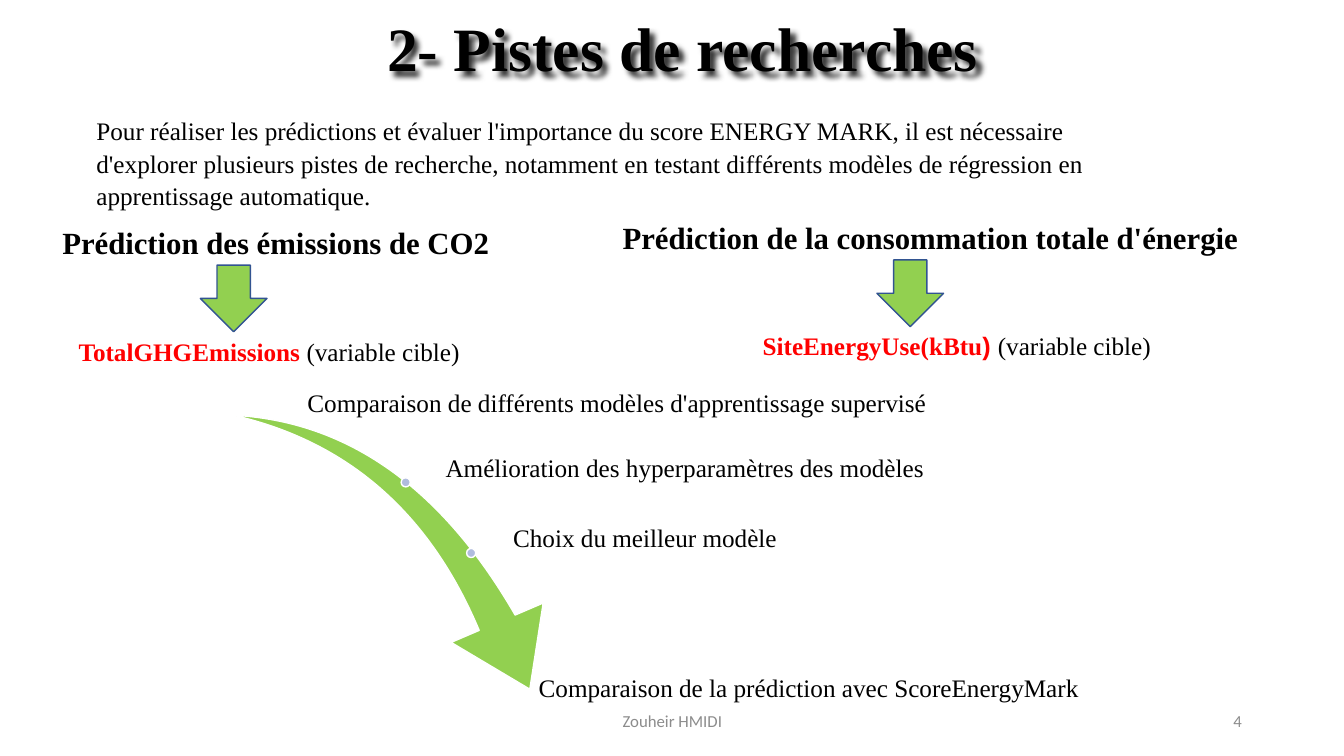
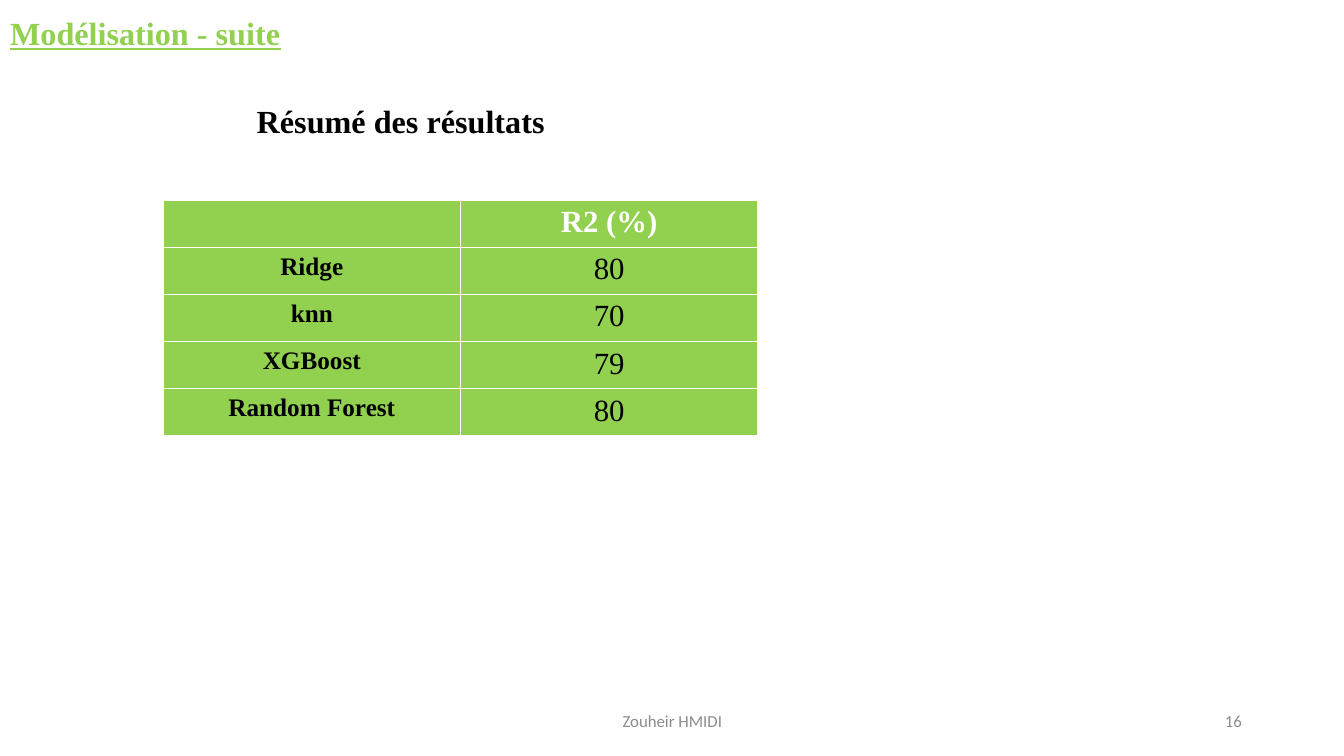
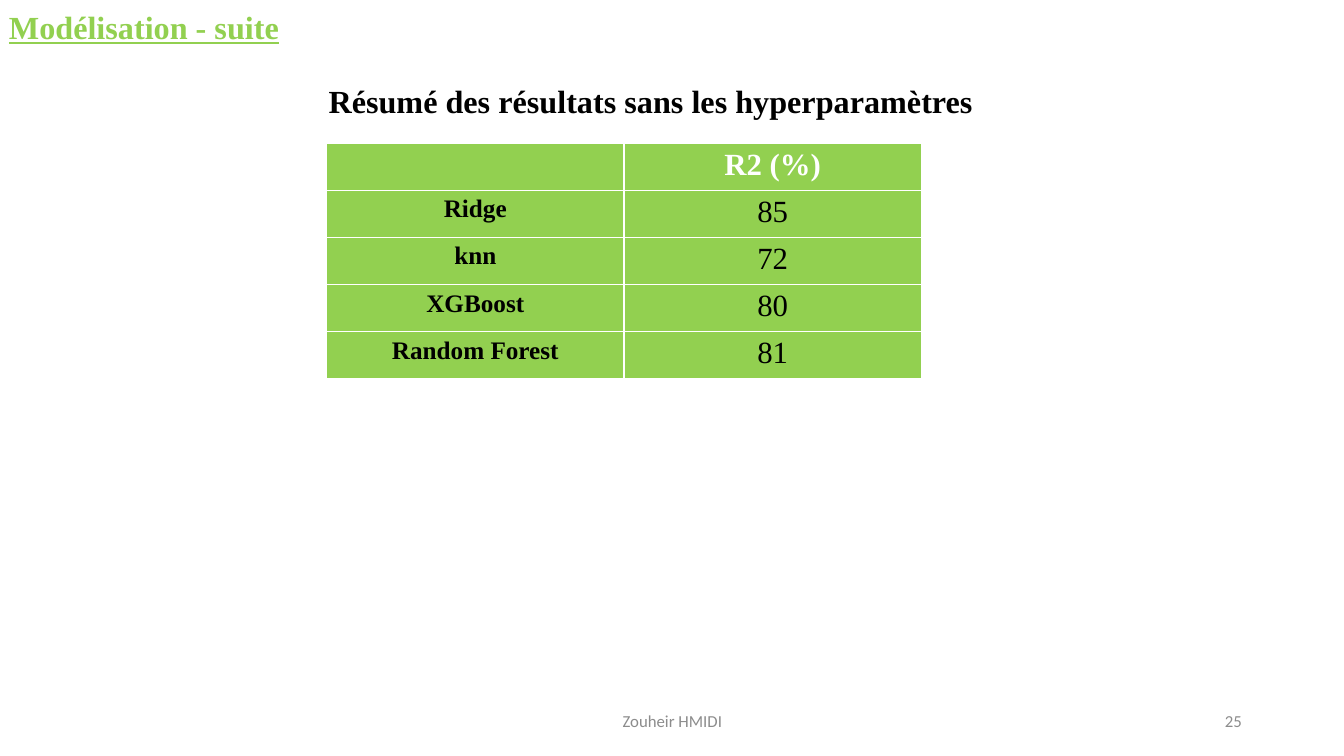
"""Build three slides on energy prediction models."""
from copy import deepcopy
from typing import Any, NamedTuple

from lxml.etree import SubElement as Sub
from pptx import Presentation
from pptx.dml.color import RGBColor
from pptx.enum.shapes import MSO_SHAPE as Kind
from pptx.enum.text import MSO_ANCHOR as Anchor, MSO_AUTO_SIZE as Fit, PP_ALIGN as Align
from pptx.oxml.ns import qn
from pptx.util import Cm, Pt

BLACK = RGBColor(0x00, 0x00, 0x00)
WHITE = RGBColor(0xFF, 0xFF, 0xFF)
GREEN = RGBColor(0x92, 0xD0, 0x50)
RED = RGBColor(0xFF, 0x00, 0x00)
NAVY = RGBColor(0x32, 0x54, 0x91)
LILAC = RGBColor(0xB0, 0xBC, 0xDE)
GRAY = RGBColor(0x8C, 0x8C, 0x8C)

BASE = {"name": "Times New Roman", "size": Pt(18), "bold": False, "rgb": BLACK}
HEAD = BASE | {"size": Pt(22), "bold": True}
SUBHEAD = HEAD | {"size": Pt(23)}
TITLE = HEAD | {"size": Pt(44)}
TOPIC = SUBHEAD | {"rgb": GREEN, "underline": True}
GOAL = BASE | {"bold": True, "rgb": RED}
FOOT = BASE | {"name": "Calibri", "size": Pt(12), "rgb": GRAY}

GROW = {"auto_size": Fit.SHAPE_TO_FIT_TEXT, "vertical_anchor": Anchor.TOP}
MID = {"vertical_anchor": Anchor.MIDDLE}
LOOSE = {"line_spacing": 1.07, "space_after": Pt(8)}
SIDES = ("left", "top", "right", "bottom")
TIGHT = {f"margin_{side}": Cm(0.08) for side in SIDES}
MODELS = ("Ridge", "knn", "XGBoost", "Random Forest")


class Box(NamedTuple):
    """Place and size in centimetres."""
    x: float
    y: float
    w: float
    h: float

    def cm(self) -> list[Cm]:
        """Give the four lengths."""
        return [Cm(n) for n in self]


class Run(NamedTuple):
    """Text with its font values."""
    text: str
    font: dict[str, Any] = BASE


class Track(NamedTuple):
    """A prediction heading, its arrow and its target."""
    head: str
    box: Box
    arrow: Box
    goal: list[Run]
    spot: Box


class Step(NamedTuple):
    """A line of text beside the curved arrow."""
    text: str
    box: Box
    align: Align
    anchor: Anchor


class Score(NamedTuple):
    """A slide with a table of results."""
    page: int
    title: Box
    head: str
    spot: Box
    x: float
    y: float
    vals: tuple[int, ...]


TRACKS = (
    Track("Prédiction des émissions de CO2", Box(1.32, 5.46, 11.46, 1.19),
          Box(5.05, 6.68, 1.68, 1.68),
          [Run("TotalGHGEmissions ", GOAL), Run("(variable cible)")],
          Box(1.73, 8.36, 10.64, 1.02)),
    Track("Prédiction de la consommation totale d'énergie", Box(15.44, 5.33, 16.94, 1.22),
          Box(22.1, 6.55, 1.68, 1.68),
          [Run("SiteEnergyUse(kBtu", GOAL), Run(") ", GOAL | {"name": "Arial"}),
           Run("(variable cible)")],
          Box(18.97, 8.2, 11.46, 1.02)),
)
STEPS = (
    Step("Comparaison de différents modèles d'apprentissage supervisé",
         Box(5.82, 8.99, 19.46, 1.63), Align.CENTER, Anchor.BOTTOM),
    Step("Amélioration des hyperparamètres des modèles",
         Box(11.15, 11.02, 18.39, 1.63), Align.LEFT, Anchor.MIDDLE),
    Step("Choix du meilleur modèle",
         Box(8.81, 12.78, 10.85, 1.63), Align.RIGHT, Anchor.MIDDLE),
    Step("Comparaison de la prédiction avec ScoreEnergyMark",
         Box(11.99, 16.94, 16.79, 1.63), Align.CENTER, Anchor.TOP),
)
DOTS = (Box(10.11, 12.04, 0.23, 0.23), Box(11.76, 13.82, 0.23, 0.23))
SCORES = (
    Score(16, Box(0, 0.2, 16.94, 1.24), "Résumé des résultats",
          Box(6.22, 2.44, 17.07, 1.24), 4.11, 5.05, (80, 70, 79, 80)),
    Score(25, Box(-0.03, 0.05, 16.94, 1.24), "Résumé des résultats sans les hyperparamètres",
          Box(8.03, 1.93, 16.94, 1.24), 8.23, 3.61, (85, 72, 80, 81)),
)


def apply(item: Any, vals: dict[str, Any]) -> None:
    """Set each value on the item."""
    for key, val in vals.items():
        setattr(item.color if key == "rgb" else item, key, val)


def write(frame: Any, runs: list[Run], align: Align = Align.LEFT,
          para: dict[str, Any] | None = None) -> None:
    """Fill the first paragraph with runs."""
    line = frame.paragraphs[0]
    apply(line, {"alignment": align} | (para or {}))
    for part in runs:
        run = line.add_run()
        run.text = part.text
        apply(run.font, part.font)


def place(shape: Any, box: Box) -> None:
    """Move and size a shape."""
    apply(shape, dict(zip(("left", "top", "width", "height"), box.cm())))


def label(slide: Any, box: Box, runs: list[Run], align: Align = Align.LEFT,
          para: dict[str, Any] | None = None, frame: dict[str, Any] | None = None) -> None:
    """Add a wrapped text box."""
    text = slide.shapes.add_textbox(*box.cm()).text_frame
    apply(text, {"word_wrap": True} | (frame or GROW))
    write(text, runs, align, para)


def draw(slide: Any, kind: Kind, box: Box, fill: RGBColor, edge: RGBColor) -> Any:
    """Add a filled and outlined shape."""
    shape = slide.shapes.add_shape(kind, *box.cm())
    shape.shadow.inherit = False
    shape.fill.solid()
    shape.fill.fore_color.rgb = fill
    apply(shape.line, {"rgb": edge, "width": Pt(1)})
    return shape


def start(deck: Any, page: int, box: Box, run: Run, align: Align = Align.LEFT) -> Any:
    """Add a slide with title, footer and page number."""
    layout = deck.slide_layouts[5]
    slide = deck.slides.add_slide(layout)
    place(slide.shapes.title, box)
    apply(slide.shapes.title.text_frame, GROW)
    write(slide.shapes.title.text_frame, [run], align)
    feet = {11: ("Zouheir HMIDI", Box(11.23, 17.65, 11.43, 1.02), Align.CENTER),
            12: (str(page), Box(23.93, 17.65, 7.62, 1.02), Align.RIGHT)}
    for item in layout.placeholders:
        idx = item.placeholder_format.idx
        if idx in feet:
            text, spot, side = feet[idx]
            slide.shapes.element.append(deepcopy(item.element))
            foot = slide.placeholders[idx]
            place(foot, spot)
            foot.text_frame.text = ""
            apply(foot.text_frame, MID)
            write(foot.text_frame, [Run(text, FOOT)], side)
    return slide


def glow(shape: Any) -> None:
    """Give a shape a soft black shadow."""
    soft = Sub(Sub(shape.element.spPr, qn("a:effectLst")), qn("a:outerShdw"),
               blurRad="50800", dist="50800", dir="2700000", algn="tl", rotWithShape="0")
    Sub(Sub(soft, qn("a:srgbClr"), val=str(BLACK)), qn("a:alpha"), val="80000")


def plan(deck: Any) -> None:
    """Draw the research paths."""
    slide = start(deck, 4, Box(8.74, 0.13, 16.94, 2.13),
                  Run("2- Pistes de recherches", TITLE), Align.CENTER)
    glow(slide.shapes.title)
    intro = ("Pour réaliser les prédictions et évaluer l'importance du score ENERGY MARK, "
             "il est nécessaire d'explorer plusieurs pistes de recherche, notamment en testant "
             "différents modèles de régression en apprentissage automatique.")
    label(slide, Box(2.18, 2.74, 27.38, 2.69), [Run(intro)], para=LOOSE)
    for track in TRACKS:
        label(slide, track.box, [Run(track.head, HEAD)], para=LOOSE)
        draw(slide, Kind.DOWN_ARROW, track.arrow, GREEN, NAVY)
        label(slide, track.spot, track.goal)
    curve = draw(slide, Kind.SWOOSH_ARROW, Box(5.69, 10.72, 8.76, 6.12), GREEN, WHITE)
    curve.rotation = 73.3
    curve.adjustments[0], curve.adjustments[1] = 0.16, 0.31
    for dot in DOTS:
        draw(slide, Kind.OVAL, dot, LILAC, WHITE)
    for step in STEPS:
        label(slide, step.box, [Run(step.text)], step.align, {"line_spacing": 0.9},
              TIGHT | {"vertical_anchor": step.anchor})


def report(deck: Any, score: Score) -> None:
    """Draw a table of results."""
    slide = start(deck, score.page, score.title, Run("Modélisation - suite", TOPIC))
    label(slide, score.spot, [Run(score.head, SUBHEAD)])
    rows = [(Run(""), Run("R2 (%)", HEAD | {"rgb": WHITE}))]
    rows += [(Run(name, GOAL | {"rgb": BLACK}), Run(str(val), HEAD | {"bold": False}))
             for name, val in zip(MODELS, score.vals)]
    box = Box(score.x, score.y, 14.99, 1.18 * len(rows))
    table = slide.shapes.add_table(len(rows), 2, *box.cm()).table
    table.horz_banding = False
    for r, row in enumerate(rows):
        for c, run in enumerate(row):
            cell = table.cell(r, c)
            cell.fill.solid()
            cell.fill.fore_color.rgb = GREEN
            if run.text:
                write(cell.text_frame, [run], Align.CENTER)


def main() -> None:
    """Build and save the deck."""
    deck = Presentation()
    apply(deck, {"slide_width": Cm(33.87), "slide_height": Cm(19.05)})
    plan(deck)
    for score in SCORES:
        report(deck, score)
    deck.save("out.pptx")


if __name__ == "__main__":
    main()
